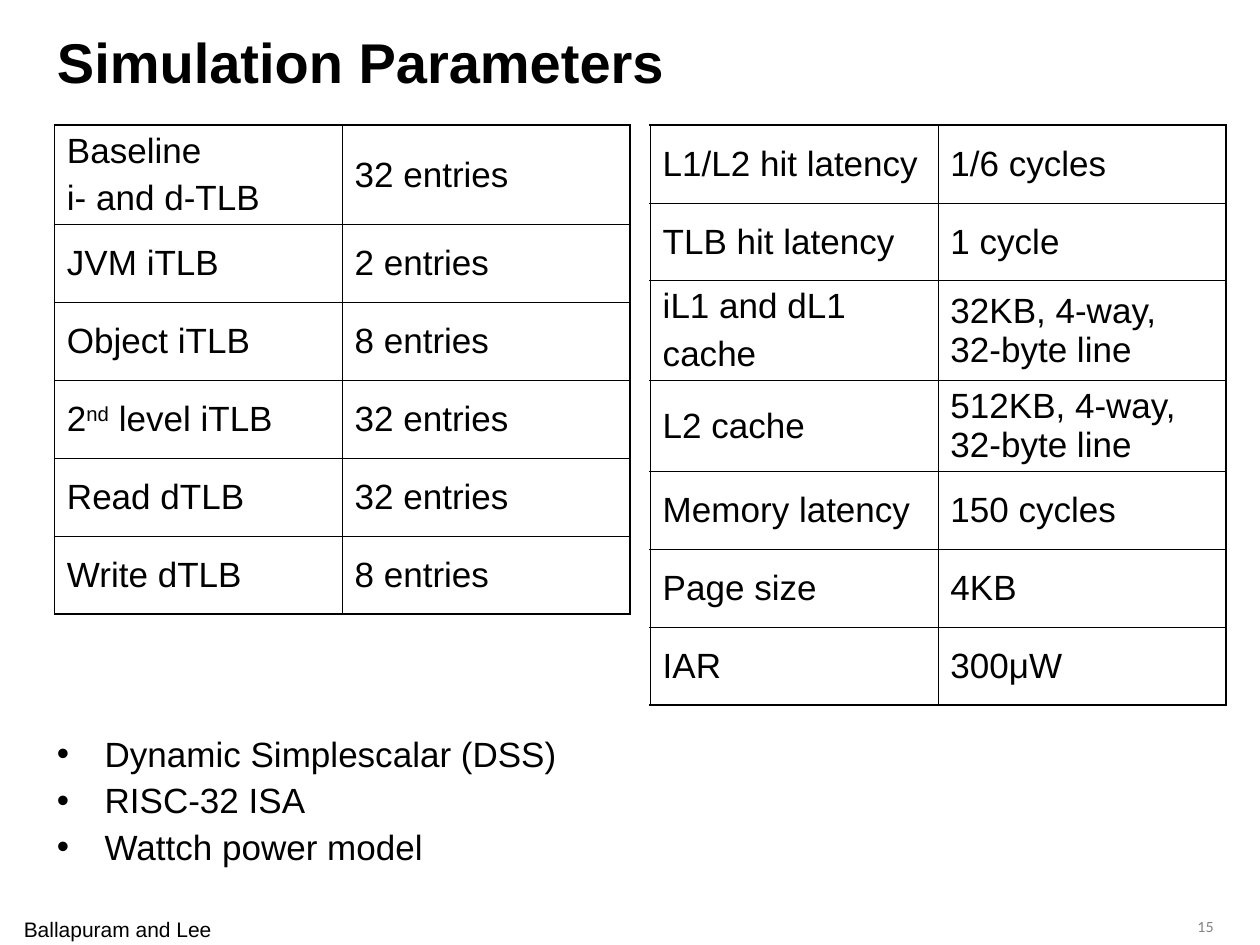
import dataclasses

import lxml.etree
import pptx
import pptx.dml.color
import pptx.enum.text
import pptx.oxml.ns
import pptx.slide
import pptx.table
import pptx.text.text
import pptx.util

Cm = pptx.util.Cm
Pt = pptx.util.Pt
Align = pptx.enum.text.PP_ALIGN
Anchor = pptx.enum.text.MSO_ANCHOR


@dataclasses.dataclass(frozen=True)
class TextStyle:
    size: float
    font: str = "Arial"
    color: str = "000000"
    bold: bool = False


@dataclasses.dataclass(frozen=True)
class Theme:
    title: TextStyle = TextStyle(32, bold=True)
    body: TextStyle = TextStyle(20)
    footer: TextStyle = TextStyle(12)
    page_number: TextStyle = TextStyle(8, "Lato", "808080")
    border: str = "000000"
    outer_line: float = 1.08
    inner_line: float = 0.45
    paragraph_gap: float = 5


@dataclasses.dataclass(frozen=True)
class Box:
    """Position and size in centimetres."""
    left: float
    top: float
    width: float
    height: float


@dataclasses.dataclass(frozen=True)
class Parameter:
    name: str
    value: str
    height: float = 1.57


THEME = Theme()
SUPERSCRIPT_MARK = "^"

TLB_PARAMETERS = [
    Parameter("Baseline\ni- and d-TLB", "32 entries", 1.88),
    Parameter("JVM iTLB", "2 entries"),
    Parameter("Object iTLB", "8 entries"),
    Parameter("2^nd^ level iTLB", "32 entries"),
    Parameter("Read dTLB", "32 entries"),
    Parameter("Write dTLB", "8 entries"),
]
MEMORY_PARAMETERS = [
    Parameter("L1/L2 hit latency", "1/6 cycles"),
    Parameter("TLB hit latency", "1 cycle"),
    Parameter("iL1 and dL1\ncache", "32KB, 4-way, 32-byte line", 1.88),
    Parameter("L2 cache", "512KB, 4-way, 32-byte line", 1.7),
    Parameter("Memory latency", "150 cycles"),
    Parameter("Page size", "4KB"),
    Parameter("IAR", "300μW"),
]
SIMULATORS = ["Dynamic Simplescalar (DSS)", "RISC-32 ISA", "Wattch power model"]


def sub_element(parent: lxml.etree._Element, tag: str, **attributes: str) -> lxml.etree._Element:
    return lxml.etree.SubElement(parent, pptx.oxml.ns.qn(tag), attributes)


def style_frame(frame: pptx.text.text.TextFrame, style: TextStyle) -> None:
    """Format every run and put the theme's gap between paragraphs."""
    for index, paragraph in enumerate(frame.paragraphs):
        if index:
            paragraph.space_before = Pt(THEME.paragraph_gap)
        for run in paragraph.runs:
            run.font.size = Pt(style.size)
            run.font.name = style.font
            run.font.bold = style.bold
            run.font.color.rgb = pptx.dml.color.RGBColor.from_string(style.color)


def add_text(slide: pptx.slide.Slide, box: Box, text: str, style: TextStyle,
             align: Align = Align.LEFT, anchor: Anchor = Anchor.TOP,
             inset: bool = True) -> pptx.text.text.TextFrame:
    textbox = slide.shapes.add_textbox(Cm(box.left), Cm(box.top), Cm(box.width), Cm(box.height))
    frame = textbox.text_frame
    frame.word_wrap = True
    frame.vertical_anchor = anchor
    if not inset:
        frame.margin_left = frame.margin_right = frame.margin_top = frame.margin_bottom = 0
    frame.text = text
    for paragraph in frame.paragraphs:
        paragraph.alignment = align
    style_frame(frame, style)
    return frame


def add_bullets(slide: pptx.slide.Slide, box: Box, items: list[str]) -> None:
    frame = add_text(slide, box, "\n".join(items), THEME.body)
    for paragraph in frame.paragraphs:
        paragraph.line_spacing = 0.9
        properties = paragraph._p.get_or_add_pPr()
        properties.set("marL", str(Cm(0.96)))
        properties.set("indent", str(-Cm(0.96)))
        bullet_color = sub_element(properties, "a:buClr")
        sub_element(bullet_color, "a:srgbClr", val=THEME.body.color)
        sub_element(properties, "a:buFont", typeface=THEME.body.font)
        sub_element(properties, "a:buChar", char="•")


def raise_marked_text(paragraph: pptx.text.text._Paragraph) -> None:
    """Split the text at the marks and superscript every second part."""
    parts = paragraph.text.split(SUPERSCRIPT_MARK)
    paragraph.text = parts[0]
    for index, part in enumerate(parts[1:], start=1):
        run = paragraph.add_run()
        run.text = part
        if index % 2:
            run._r.get_or_add_rPr().set("baseline", "30000")


def set_borders(cell: pptx.table._Cell, outer_sides: dict[str, bool]) -> None:
    properties = cell._tc.get_or_add_tcPr()
    for side, is_outer in outer_sides.items():
        width = Pt(THEME.outer_line if is_outer else THEME.inner_line)
        line = sub_element(properties, f"a:ln{side}", w=str(width))
        fill = sub_element(line, "a:solidFill")
        sub_element(fill, "a:srgbClr", val=THEME.border)


def fill_cell(cell: pptx.table._Cell, text: str, outer_sides: dict[str, bool]) -> None:
    cell.text_frame.text = text
    for paragraph in cell.text_frame.paragraphs:
        raise_marked_text(paragraph)
    style_frame(cell.text_frame, THEME.body)
    cell.vertical_anchor = Anchor.MIDDLE
    cell.margin_left = cell.margin_right = Cm(0.25)
    cell.margin_top = cell.margin_bottom = Cm(0.07)
    set_borders(cell, outer_sides)
    cell.fill.background()


def add_parameter_table(slide: pptx.slide.Slide, left: float,
                        parameters: list[Parameter]) -> None:
    height = sum(parameter.height for parameter in parameters)
    table = slide.shapes.add_table(len(parameters), 2, Cm(left), Cm(2.52),
                                   Cm(11.6), Cm(height)).table
    table.first_row = table.horz_banding = False
    last_row = len(parameters) - 1
    for row, parameter in enumerate(parameters):
        table.rows[row].height = Cm(parameter.height)
        for column, text in enumerate((parameter.name, parameter.value)):
            outer_sides = {"L": column == 0, "R": column == 1,
                           "T": row == 0, "B": row == last_row}
            fill_cell(table.cell(row, column), text, outer_sides)


def main() -> None:
    presentation = pptx.Presentation()
    presentation.slide_width = Cm(25.4)
    presentation.slide_height = Cm(19.05)
    slide = presentation.slides.add_slide(presentation.slide_layouts[6])

    add_text(slide, Box(0.48, 18.47, 4.5, 0.51), "Ballapuram and Lee", THEME.footer,
             inset=False)
    add_text(slide, Box(0.9, 0.18, 23.65, 2.11), "Simulation Parameters", THEME.title,
             anchor=Anchor.MIDDLE)
    add_bullets(slide, Box(0.9, 14.73, 23.62, 3.4), SIMULATORS)
    add_parameter_table(slide, 1.1, TLB_PARAMETERS)
    add_parameter_table(slide, 13.11, MEMORY_PARAMETERS)
    add_text(slide, Box(23.04, 18.39, 1.68, 0.43), "15", THEME.page_number, align=Align.RIGHT)

    presentation.save("out.pptx")


if __name__ == "__main__":
    main()
